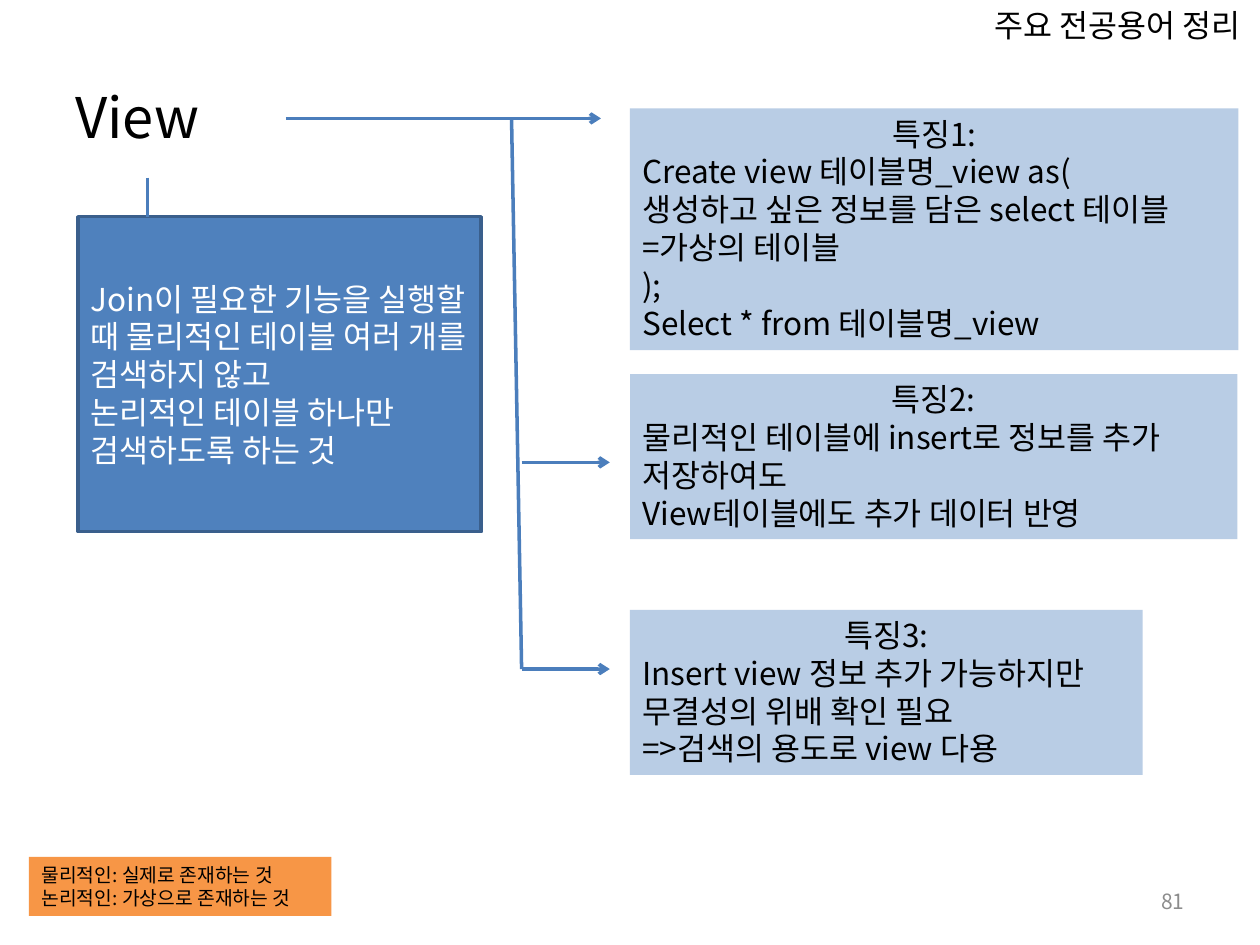
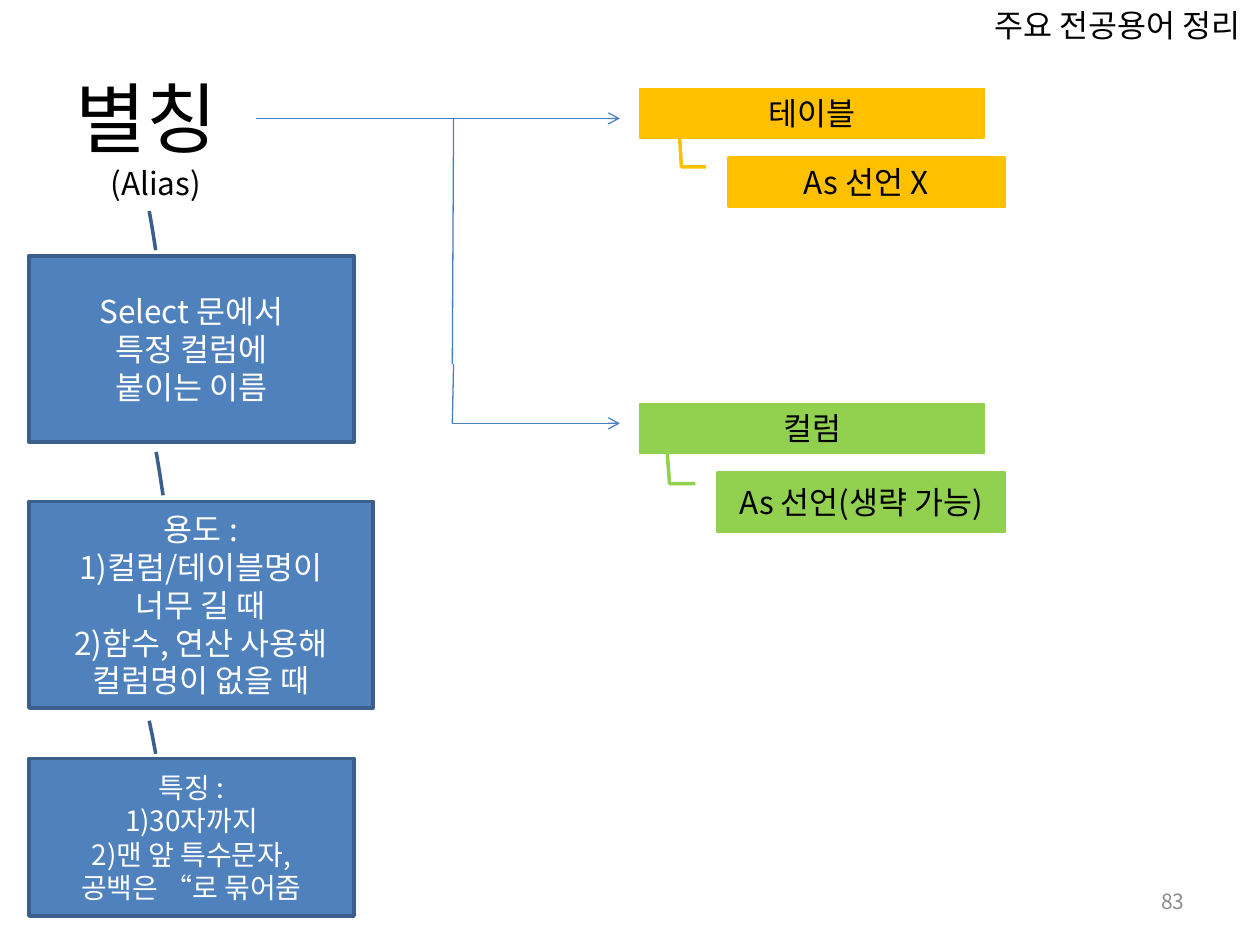
import pptx
import pptx.util
from dataclasses import dataclass
from lxml import etree
from pptx.dml.color import RGBColor
from pptx.enum.shapes import MSO_CONNECTOR, MSO_SHAPE
from pptx.enum.text import MSO_ANCHOR, PP_ALIGN
from pptx.oxml.ns import qn
from pptx.util import Inches

LEFT, CENTER, RIGHT = PP_ALIGN.LEFT, PP_ALIGN.CENTER, PP_ALIGN.RIGHT
TOP, MIDDLE = MSO_ANCHOR.TOP, MSO_ANCHOR.MIDDLE


@dataclass(frozen=True)
class Theme:
    font: str = "Noto Sans CJK KR"
    black: str = "000000"
    white: str = "FFFFFF"
    gray: str = "8C8C8C"
    blue: str = "4F81BD"
    dark_blue: str = "3A5F8C"
    line_blue: str = "4B7EBC"
    pale_blue: str = "B9CDE5"
    orange: str = "F79646"
    amber: str = "FFC000"
    green: str = "92D050"
    body: int = 18
    small_body: int = 16
    number: int = 12
    note: int = 11
    title: int = 32
    large_title: int = 44
    thick: float = 2
    thin: float = 0.75


THEME = Theme()
# Pairs of y and x, as shares of the box: where the leader starts, bends and ends
UP_LEADER = (-0.03, 0.39, -0.14, 0.38, -0.24, 0.37)


class Deck:
    def __init__(self, theme):
        self.theme = theme
        self.presentation = pptx.Presentation()
        self.presentation.slide_width = Inches(10)
        self.presentation.slide_height = Inches(7.5)
        self.slide = None

    def new_slide(self, number):
        """Start a slide with the shared heading and page number."""
        blank = self.presentation.slide_layouts[6]
        self.slide = self.presentation.slides.add_slide(blank)
        self.text((7.58, 0, 2.58, 0.4), ["주요 전공용어 정리"], align=CENTER)
        self.text((7.17, 6.95, 2.33, 0.4), [str(number)], self.theme.number,
                  self.theme.gray, RIGHT, MIDDLE)

    def fill_text(self, shape, lines, size, color, align, anchor, heading_align=None):
        frame = shape.text_frame
        frame.word_wrap = True
        frame.vertical_anchor = anchor
        for index, line in enumerate(lines):
            paragraph = frame.paragraphs[0] if index == 0 else frame.add_paragraph()
            is_heading = index == 0 and heading_align is not None
            paragraph.alignment = heading_align if is_heading else align
            run = paragraph.add_run()
            run.text = line
            run.font.size = pptx.util.Pt(size)
            run.font.color.rgb = RGBColor.from_string(color)
            run.font.name = self.theme.font
            east_asian = etree.SubElement(run.font._element, qn("a:ea"))
            east_asian.set("typeface", self.theme.font)

    def text(self, area, lines, size=THEME.body, color=THEME.black,
             align=LEFT, anchor=TOP):
        shape = self.slide.shapes.add_textbox(*map(Inches, area))
        self.fill_text(shape, lines, size, color, align, anchor)

    def box(self, area, lines, fill, outline=None, width=THEME.thick,
            size=THEME.body, color=THEME.black, align=CENTER, anchor=MIDDLE,
            heading_align=None, leader=None):
        """Draw a filled rectangle, or a callout when a leader is given."""
        kind = MSO_SHAPE.LINE_CALLOUT_2 if leader else MSO_SHAPE.RECTANGLE
        shape = self.slide.shapes.add_shape(kind, *map(Inches, area))
        shape.shadow.inherit = False
        shape.fill.solid()
        shape.fill.fore_color.rgb = RGBColor.from_string(fill)
        if outline:
            shape.line.color.rgb = RGBColor.from_string(outline)
            shape.line.width = pptx.util.Pt(width)
        else:
            shape.line.fill.background()
        for index, value in enumerate(leader or ()):
            shape.adjustments[index] = value
        self.fill_text(shape, lines, size, color, align, anchor, heading_align)

    def line(self, start, end, width=THEME.thick, arrow=False):
        connector = self.slide.shapes.add_connector(
            MSO_CONNECTOR.STRAIGHT, *map(Inches, (*start, *end)))
        connector.line.color.rgb = RGBColor.from_string(self.theme.line_blue)
        connector.line.width = pptx.util.Pt(width)
        properties = connector._element.spPr
        if arrow:
            etree.SubElement(properties.find(qn("a:ln")), qn("a:tailEnd"), type="arrow")
        etree.SubElement(properties, qn("a:effectLst"))

    def definition(self, area, lines, **options):
        self.box(area, lines, self.theme.blue, self.theme.dark_blue,
                 color=self.theme.white, **options)


def build_view(deck):
    theme = deck.theme
    deck.new_slide(81)
    deck.text((0.5, 0.3, 9, 1.25), ["View"], theme.title, anchor=MIDDLE)
    deck.definition((0.62, 1.72, 3.2, 2.5), [
        "Join이 필요한 기능을 실행할 때 물리적인 테이블 여러 개를 검색하지 않고",
        "논리적인 테이블 하나만 검색하도록 하는 것"], align=LEFT)
    deck.box((0.23, 6.8, 2.4, 0.47),
             ["물리적인: 실제로 존재하는 것", "논리적인: 가상으로 존재하는 것"],
             theme.orange, size=theme.note, align=LEFT, anchor=TOP)

    deck.line((1.17, 1.41), (1.17, 1.72))
    deck.line((4.06, 0.94), (4.14, 5.31))
    deck.line((2.27, 0.94), (4.77, 0.94), arrow=True)
    for y in (3.67, 5.31):
        deck.line((4.14, y), (4.84, y), arrow=True)

    features = [
        (0.86, 4.83, 1.92, ["Create view 테이블명_view as(",
                            "생성하고 싶은 정보를 담은 select 테이블",
                            "=가상의 테이블", ");", "Select * from 테이블명_view"]),
        (2.97, 4.82, 1.31, ["물리적인 테이블에 insert로 정보를 추가", "저장하여도",
                            "View테이블에도 추가 데이터 반영"]),
        (4.84, 4.07, 1.31, ["Insert view 정보 추가 가능하지만", "무결성의 위배 확인 필요",
                            "=>검색의 용도로 view 다용"]),
    ]
    for number, (top, width, height, lines) in enumerate(features, 1):
        deck.box((5, top, width, height), [f"특징{number}:", *lines], theme.pale_blue,
                 align=LEFT, anchor=TOP, heading_align=CENTER)


def build_alias(deck):
    theme = deck.theme
    deck.new_slide(83)
    deck.text((0.5, 0.3, 1.69, 1.25), ["별칭"], theme.large_title, anchor=MIDDLE)
    deck.text((0.78, 1.25, 1.33, 0.4), ["(Alias)"])

    definitions = [
        (2.03, 2.58, 1.48, theme.body, ["Select 문에서", "특정 컬럼에", "붙이는 이름"]),
        (3.98, 2.73, 1.64, theme.body, ["용도 :", "1)컬럼/테이블명이", "너무 길 때",
                                        "2)함수, 연산 사용해", "컬럼명이 없을 때"]),
        (6.02, 2.58, 1.25, theme.small_body, ["특징 :", "1)30자까지",
                                              "2)맨 앞 특수문자,", "공백은 “로 묶어줌"]),
    ]
    for top, width, height, size, lines in definitions:
        deck.definition((0.23, top, width, height), lines, size=size, leader=UP_LEADER)

    deck.line((2.03, 0.94), (4.92, 0.94), theme.thin, arrow=True)
    deck.line((3.6, 0.94), (3.59, 2.89), theme.thin)
    deck.line((3.6, 2.89), (3.59, 3.36), theme.thin)
    deck.line((3.59, 3.36), (4.92, 3.36), theme.thin, arrow=True)

    targets = [
        (0.7, "테이블", theme.amber, (5.78, 1.25, 2.19, 0.39), "As 선언 X",
         (-0.75, -0.18)),
        (3.2, "컬럼", theme.green, (5.7, 3.75, 2.27, 0.47), "As 선언(생략 가능)",
         (-0.44, -0.18)),
    ]
    for top, name, color, rule_area, rule, leader_end in targets:
        deck.box((5.08, top, 2.73, 0.4), [name], color, color, theme.thin, anchor=TOP)
        deck.box(rule_area, [rule], color, color,
                 leader=(0.19, -0.08, 0.19, -0.17, *leader_end))


def main():
    deck = Deck(THEME)
    build_view(deck)
    build_alias(deck)
    deck.presentation.save("out.pptx")


if __name__ == "__main__":
    main()
